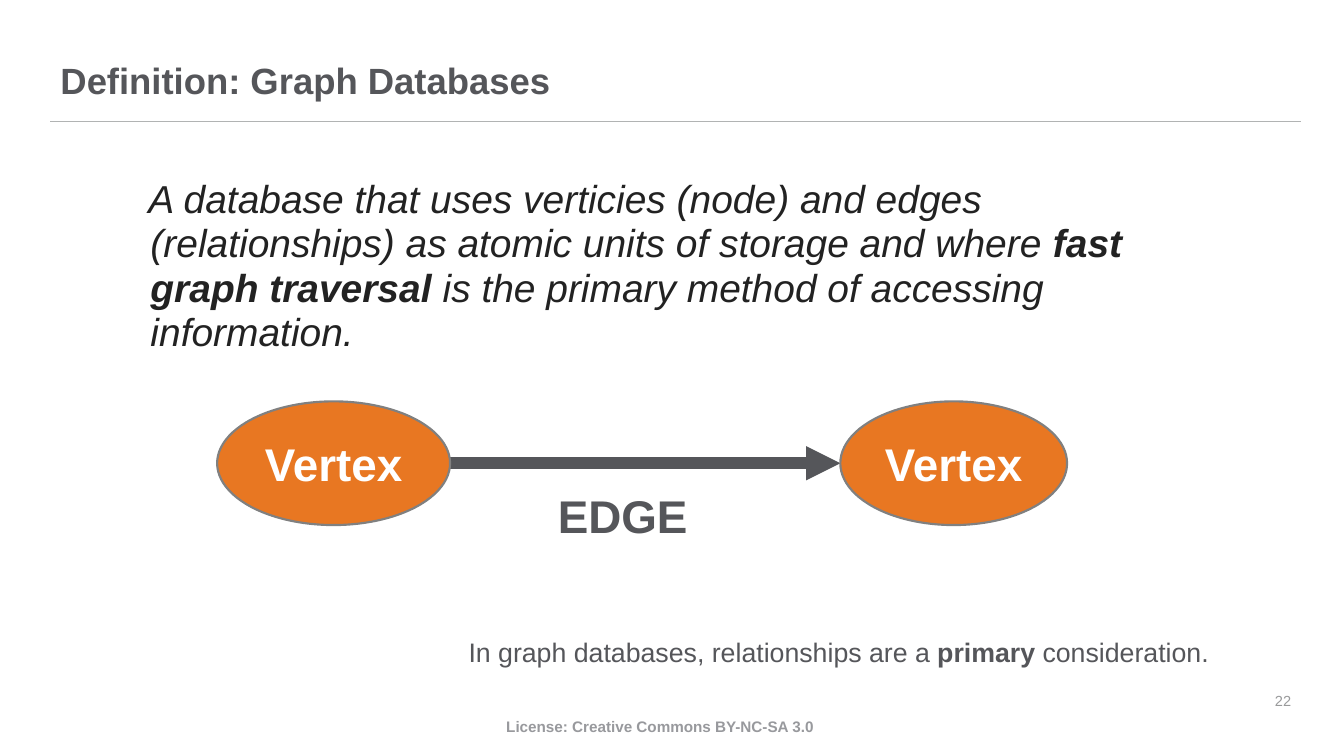
from lxml import etree
from pptx import Presentation
from pptx.dml.color import RGBColor
from pptx.enum.shapes import MSO_CONNECTOR, MSO_SHAPE
from pptx.enum.text import MSO_ANCHOR, MSO_AUTO_SIZE, PP_ALIGN
from pptx.oxml.ns import qn
from pptx.util import Inches, Pt

LEFT, CENTER, RIGHT = PP_ALIGN.LEFT, PP_ALIGN.CENTER, PP_ALIGN.RIGHT
TOP, MIDDLE = MSO_ANCHOR.TOP, MSO_ANCHOR.MIDDLE
NO_AUTOFIT = MSO_AUTO_SIZE.NONE
STRAIGHT, OVAL = MSO_CONNECTOR.STRAIGHT, MSO_SHAPE.OVAL

COLORS = {
    "slate": "55565A",
    "ink": "222222",
    "rule": "B1B3B3",
    "license": "98999D",
    "number": "999A9B",
    "orange": "E87722",
    "outline": "808080",
    "white": "FFFFFF",
}


def write(sp, parts, size, color, align=LEFT, anchor=TOP, inset=0.1, wrap=True, italic=False):
    """Fill a shape with one paragraph made of (text, bold) parts."""
    tf = sp.text_frame
    tf.auto_size = NO_AUTOFIT
    tf.word_wrap = wrap
    tf.vertical_anchor = anchor
    tf.margin_left = tf.margin_right = Inches(inset)
    tf.margin_top = tf.margin_bottom = Inches(inset if inset > 0.1 else 0.05)
    p = tf.paragraphs[0]
    p.alignment = align
    p.space_before = Pt(0)
    for text, bold in parts:
        r = p.add_run()
        r.text = text
        r.font.name = "Arial"
        r.font.size = Pt(size)
        r.font.bold = bold
        r.font.italic = italic
        r.font.color.rgb = RGBColor.from_string(COLORS[color])
    return p


def add_line(x1, x2, y, color, width):
    """Add a horizontal line and return its a:ln element."""
    line = s.shapes.add_connector(STRAIGHT, Inches(x1), Inches(y), Inches(x2), Inches(y))
    line.line.color.rgb = RGBColor.from_string(COLORS[color])
    line.line.width = Pt(width)
    etree.SubElement(line._element.spPr, qn("a:effectLst"))
    return line.line._get_or_add_ln()


prs = Presentation()
prs.slide_width, prs.slide_height = Inches(19.56), Inches(11)
s = prs.slides.add_slide(prs.slide_layouts[1])
title, body = s.placeholders

add_line(0.73, 18.94, 1.77, "rule", 1)

# Title and definition
title.left, title.top, title.width, title.height = map(Inches, (0.71, 0.74, 15.84, 1.06))
p = write(title, [("Definition: Graph Databases", True)], 38.2, "slate", inset=0.17)
p.line_spacing = 0.9

body.left, body.top, body.width, body.height = map(Inches, (1.99, 2.42, 15.84, 2.79))
definition = [
    ("A database that uses verticies (node) and edges (relationships) "
     "as atomic units of storage and where ", False),
    ("fast graph traversal", True),
    (" is the primary method of accessing information.", False),
]
p = write(body, definition, 40.8, "ink", inset=0.17, italic=True)
p.line_spacing = 0.95
p.space_after = Pt(7.7)
pPr = p._p.get_or_add_pPr()
pPr.set("marL", str(Inches(0.03)))
pPr.set("indent", str(Inches(-0.03)))
etree.SubElement(pPr, qn("a:buNone"))

# Two vertices joined by an edge
ln = add_line(6.54, 12.23, 6.74, "slate", 12)
etree.SubElement(ln, qn("a:tailEnd"), type="triangle")

for left, width in ((3.16, 3.39), (12.23, 3.3)):
    vertex = s.shapes.add_shape(OVAL, Inches(left), Inches(5.84), Inches(width), Inches(1.8))
    vertex.shadow.inherit = False
    vertex.fill.solid()
    vertex.fill.fore_color.rgb = RGBColor.from_string(COLORS["orange"])
    vertex.line.color.rgb = RGBColor.from_string(COLORS["outline"])
    vertex.line.width = Pt(2.25)
    write(vertex, [("Vertex", True)], 48, "white", CENTER, MIDDLE)

edge = s.shapes.add_textbox(Inches(8.02), Inches(7.04), Inches(2.11), Inches(0.91))
write(edge, [("EDGE", True)], 48, "slate", wrap=False)

# Takeaway, page number and license
takeaway = s.shapes.add_textbox(Inches(6.72), Inches(9.2), Inches(11.11), Inches(0.57))
write(takeaway, [("In graph databases, relationships are a ", False), ("primary", True),
                 (" consideration.", False)], 28, "slate", wrap=False)

number = s.shapes.add_textbox(Inches(17.72), Inches(9.77), Inches(1.17), Inches(0.84))
write(number, [("22", False)], 15.3, "number", RIGHT, MIDDLE)

footer = s.shapes.add_textbox(Inches(5.75), Inches(10.39), Inches(7.71), Inches(0.37))
write(footer, [("License: Creative Commons BY-NC-SA 3.0", True)], 16, "license", CENTER)

prs.save("out.pptx")
